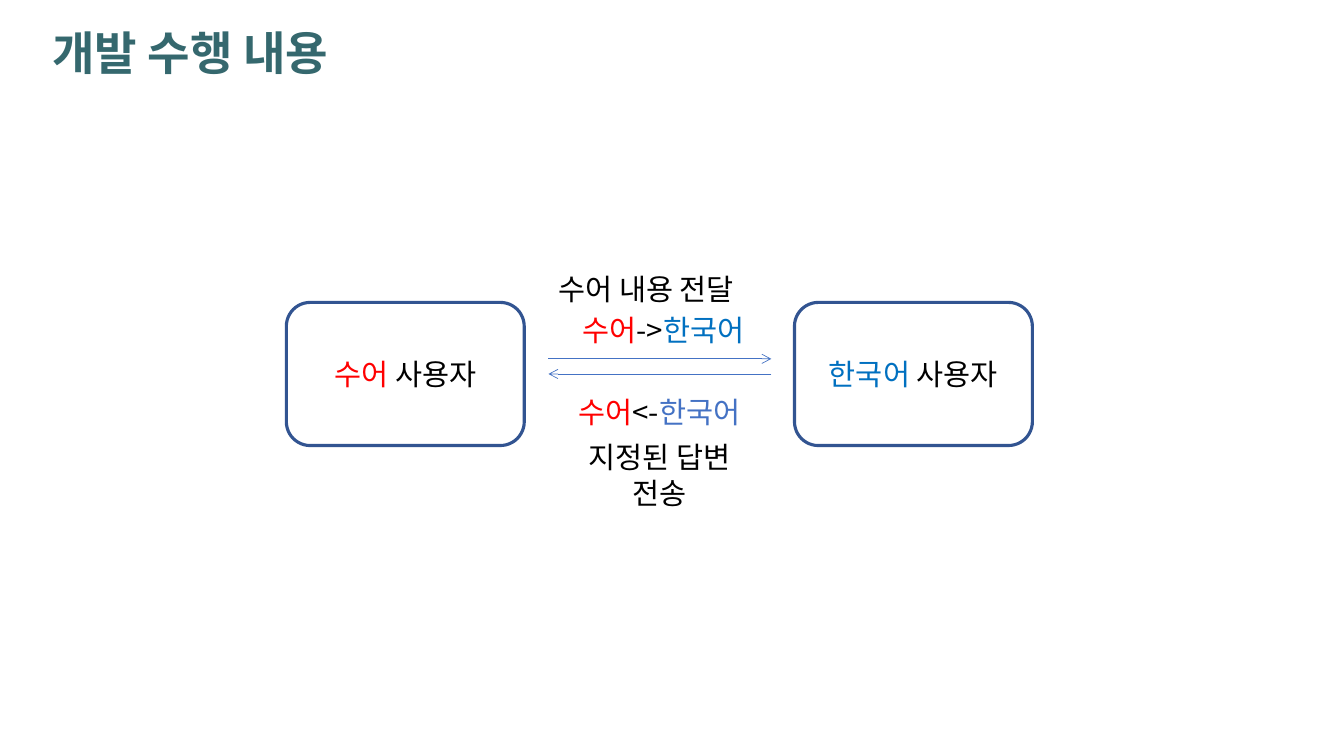
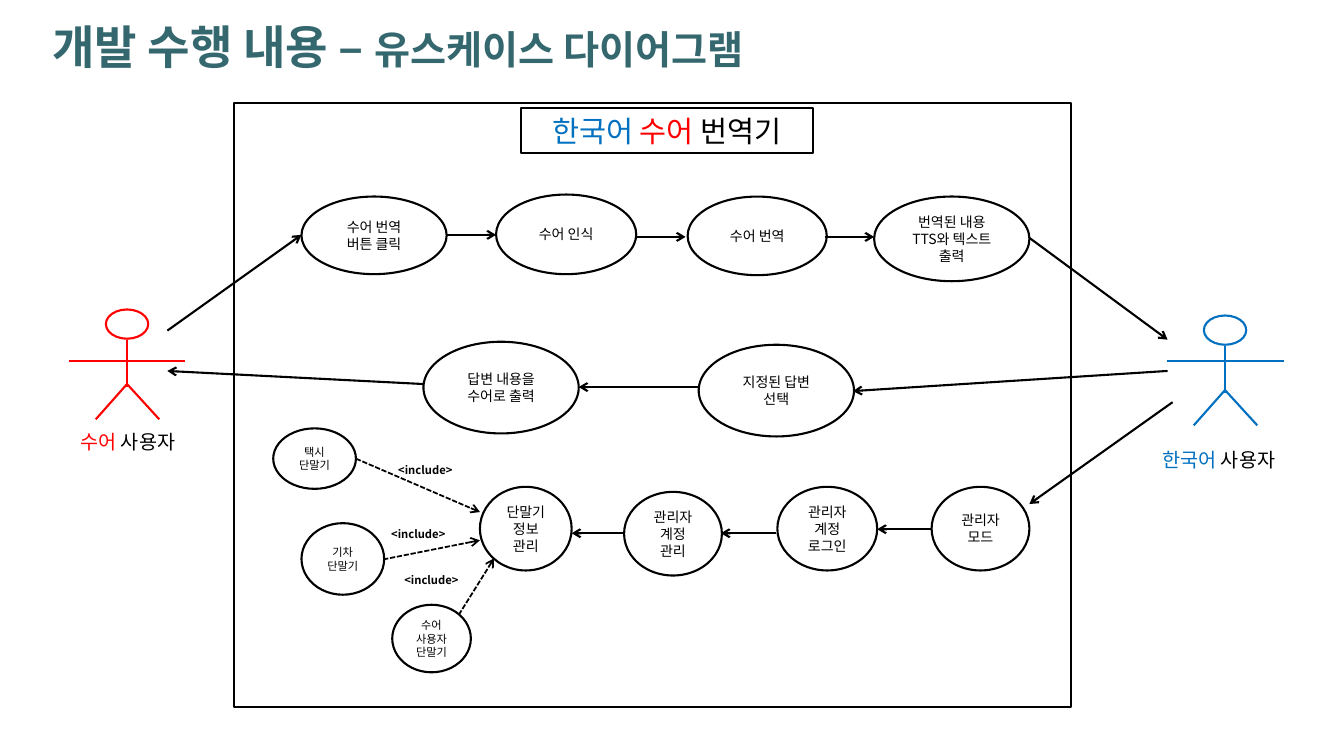
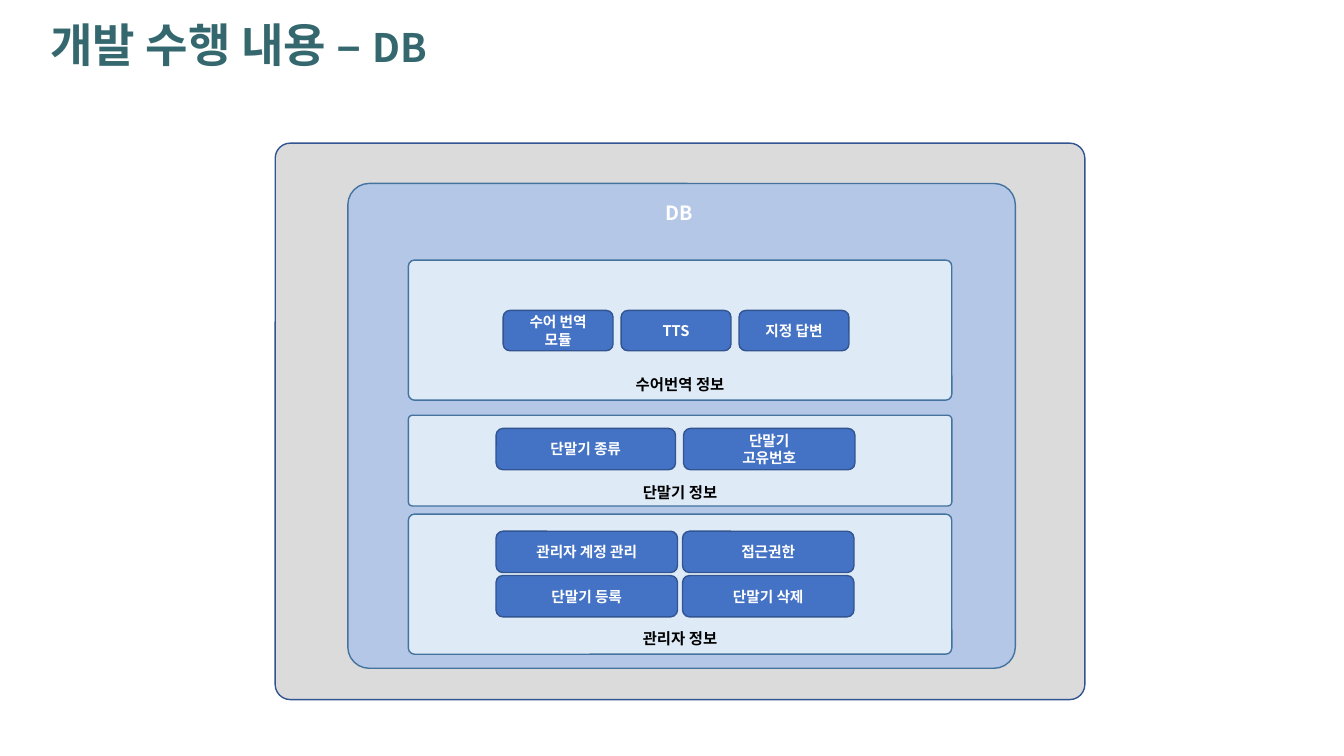
from typing import NamedTuple

from lxml import etree
from pptx import Presentation
from pptx.dml.color import RGBColor
from pptx.enum.dml import MSO_LINE
from pptx.enum.shapes import MSO_CONNECTOR, MSO_SHAPE
from pptx.enum.text import MSO_ANCHOR, MSO_AUTO_SIZE, PP_ALIGN
from pptx.oxml.ns import qn
from pptx.util import Emu, Pt

PX = 9144
FONT = "Noto Sans CJK KR"
TITLE_ONLY = 5

RECTANGLE = MSO_SHAPE.RECTANGLE
ROUNDED = MSO_SHAPE.ROUNDED_RECTANGLE
ELLIPSE = MSO_SHAPE.OVAL
STRAIGHT = MSO_CONNECTOR.STRAIGHT
DASHED = MSO_LINE.SQUARE_DOT
LEFT, CENTER = PP_ALIGN.LEFT, PP_ALIGN.CENTER
TOP, MIDDLE = MSO_ANCHOR.TOP, MSO_ANCHOR.MIDDLE
FIXED_SIZE = MSO_AUTO_SIZE.NONE

BLACK, WHITE = "000000", "FFFFFF"
RED, BLUE = "FF0000", "0070C0"
TEAL = "35686E"
ACCENT, ACCENT_DARK = "4472C4", "325491"
PANEL_LINE = "43739E"
GREY, DB_BLUE, PANEL_BLUE = "DBDBDB", "B4C7E7", "DEEBF7"

TITLE = "개발 수행 내용"


class Run(NamedTuple):
    """A stretch of text with one format."""

    text: str
    colour: str
    size: float
    bold: bool = False


def rgb(colour):
    """Turn a hex string into a colour."""
    return RGBColor.from_string(colour)


def box(*lengths):
    """Turn px lengths into EMU."""
    return [Emu(length * PX) for length in lengths]


def lines(text, colour, size, bold=False):
    """Make one single-run paragraph of each line of the text."""
    return [[Run(line, colour, size, bold)] for line in text.split("\n")]


def write(shape, paragraphs, align=CENTER, anchor=MIDDLE, margins=(10, 5), spacing=1.0):
    """Fill a shape with paragraphs of runs."""
    frame = shape.text_frame
    horizontal, vertical = box(*margins)
    frame_format = {
        "word_wrap": True, "auto_size": FIXED_SIZE, "vertical_anchor": anchor,
        "margin_left": horizontal, "margin_right": horizontal,
        "margin_top": vertical, "margin_bottom": vertical,
    }
    for name, value in frame_format.items():
        setattr(frame, name, value)
    for index, runs in enumerate(paragraphs):
        paragraph = frame.add_paragraph() if index else frame.paragraphs[0]
        paragraph.alignment = align
        paragraph.line_spacing = spacing
        for item in runs:
            run = paragraph.add_run()
            run.text = item.text
            font_format = {"name": FONT, "size": Pt(item.size), "bold": item.bold}
            for name, value in font_format.items():
                setattr(run.font, name, value)
            run.font.color.rgb = rgb(item.colour)
            east_asian = etree.SubElement(run.font._element, qn("a:ea"))
            east_asian.set("typeface", FONT)


def add_slide(presentation, left, top, subtitle=None):
    """Add a slide with the shared title and an optional smaller subtitle."""
    slide = presentation.slides.add_slide(presentation.slide_layouts[TITLE_ONLY])
    title = slide.shapes.title
    title.left, title.top, title.width, title.height = box(left, top, 1147, 62)
    runs = [Run(TITLE, TEAL, 33, True)]
    if subtitle:
        runs = [Run(TITLE + " – ", TEAL, 33, True), Run(subtitle, TEAL, 28, True)]
    write(title, [runs], LEFT, margins=(12, 6), spacing=0.9)
    return slide


def add_block(slide, kind, bounds, fill, line, width, corner=None):
    """Add a filled and outlined preset shape."""
    shape = slide.shapes.add_shape(kind, *box(*bounds))
    shape.shadow.inherit = False
    shape.fill.solid()
    shape.fill.fore_color.rgb = rgb(fill)
    shape.line.color.rgb = rgb(line)
    shape.line.width = Pt(width)
    if corner is not None:
        shape.adjustments[0] = corner
    return shape


def add_text(slide, bounds, paragraphs, **layout):
    """Add a text box."""
    write(slide.shapes.add_textbox(*box(*bounds)), paragraphs, **layout)


def add_line(slide, ends, colour=BLACK, width=1.5, dash=None, arrow=False):
    """Add a straight line, with an arrowhead at its end if wanted."""
    connector = slide.shapes.add_connector(STRAIGHT, *box(*ends))
    connector.line.color.rgb = rgb(colour)
    connector.line.width = Pt(width)
    if dash is not None:
        connector.line.dash_style = dash
    properties = connector._element.spPr
    if arrow:
        etree.SubElement(properties.find(qn("a:ln")), qn("a:tailEnd")).set("type", "arrow")
    etree.SubElement(properties, qn("a:effectLst"))


def add_use_case(slide, bounds, text, size=10):
    """Add a use case ellipse."""
    ellipse = add_block(slide, ELLIPSE, bounds, WHITE, BLACK, 1.5)
    write(ellipse, lines(text, BLACK, size))


def add_actor(slide, center, top, arm_y, colour):
    """Add a stick figure."""
    add_block(slide, ELLIPSE, (center - 21, top, 42, 29), WHITE, colour, 1.5)
    hip, foot = top + 74, top + 109
    for ends in (
        (center, top + 30, center, top + 77),
        (center, hip, center + 32, foot),
        (center, hip, center - 31, foot),
        (center - 58, arm_y, center + 58, arm_y),
    ):
        add_line(slide, ends, colour)


def add_panel(slide, top, height, caption, first, widths, module_height, gap, rows):
    """Add a database panel with rows of modules and a caption below them."""
    add_block(slide, ROUNDED, (405, top, 539, height), PANEL_BLUE, PANEL_LINE, 1, 0.044)
    caption_top = top + height - (28 if height < 100 else 30)
    add_text(slide, (499, caption_top, 351, 29), lines(caption, BLACK, 11, True), anchor=TOP)
    left, first_top = first
    for row, names in enumerate(rows):
        for column, name in enumerate(names):
            bounds = (left + sum(widths[:column]) + column * gap,
                      first_top + row * (module_height + 3),
                      widths[column], module_height)
            module = add_block(slide, ROUNDED, bounds, ACCENT, ACCENT_DARK, 1)
            write(module, lines(name, WHITE, 10.5, True))


def build_overview(presentation):
    """Show the exchange between the two users."""
    slide = add_slide(presentation, 40, 24)
    for left, language, colour in ((284, "수어", RED), (788, "한국어", BLUE)):
        user = add_block(slide, ROUNDED, (left, 300, 236, 142), WHITE, ACCENT_DARK, 2.25)
        write(user, [[Run(language, colour, 21), Run(" 사용자", BLACK, 21)]])
    for ends in ((544, 356, 765, 356), (765, 371, 544, 371)):
        add_line(slide, ends, ACCENT, 0.5, arrow=True)
    add_text(slide, (544, 264, 218, 45), lines("수어 내용 전달", BLACK, 21),
             align=LEFT, anchor=TOP)
    add_text(slide, (560, 431, 188, 81), lines("지정된 답변\n전송", BLACK, 21), anchor=TOP)
    for left, top, sign, colour in ((558, 305, "->", BLUE), (554, 386, "<-", ACCENT)):
        runs = [Run("수어", RED, 21), Run(sign, BLACK, 21), Run("한국어", colour, 21)]
        add_text(slide, (left, top, 200, 45), [runs], anchor=TOP)


def build_use_cases(presentation):
    """Show the use case diagram."""
    slide = add_slide(presentation, 40, 18, "유스케이스 다이어그램")
    add_block(slide, RECTANGLE, (232, 102, 830, 599), WHITE, BLACK, 1.5)
    system = add_block(slide, RECTANGLE, (517, 107, 289, 45), WHITE, BLACK, 1.5)
    write(system, [[Run("한국어 ", BLUE, 21), Run("수어", RED, 21),
                    Run(" 번역기", BLACK, 21)]], anchor=TOP)

    add_actor(slide, 126, 307, 358, RED)
    add_actor(slide, 1215, 313, 358, BLUE)
    for bounds, language, colour in (((70, 422, 126, 34), "수어", RED),
                                     ((1143, 439, 144, 34), "한국어", BLUE)):
        runs = [Run(language, colour, 14), Run(" 사용자", BLACK, 14)]
        add_text(slide, bounds, [runs], align=LEFT, anchor=TOP)

    for bounds, text in (
        ((299, 195, 144, 77), "수어 번역\n버튼 클릭"),
        ((492, 193, 139, 79), "수어 인식"),
        ((682, 195, 138, 78), "수어 번역"),
        ((867, 195, 154, 84), "번역된 내용\nTTS와 텍스트\n출력"),
        ((420, 339, 154, 91), "답변 내용을 수어로 출력"),
        ((693, 342, 154, 91), "지정된 답변 선택"),
        ((924, 483, 97, 83), "관리자 모드"),
        ((771, 483, 99, 83), "관리자 계정\n로그인"),
        ((619, 488, 97, 83), "관리자 계정\n관리"),
        ((476, 483, 91, 83), "단말기 정보 관리"),
    ):
        add_use_case(slide, bounds, text)
    for bounds, text in (
        ((271, 425, 82, 60), "택시\n단말기"),
        ((299, 519, 82, 71), "기차\n단말기"),
        ((389, 600, 78, 67), "수어\n사용자\n단말기"),
    ):
        add_use_case(slide, bounds, text, 8)

    for ends in (
        (166, 328, 299, 233), (442, 233, 492, 233), (630, 235, 680, 235),
        (818, 235, 867, 235), (1021, 236, 1158, 337),
        (1158, 368, 846, 388), (694, 384, 574, 384), (420, 381, 166, 368),
        (1163, 399, 1021, 500), (924, 525, 870, 525), (770, 529, 715, 529),
        (619, 529, 567, 529),
    ):
        add_line(slide, ends, arrow=True)
    for ends, label in (
        ((353, 455, 476, 508), (383, 455)),
        ((380, 555, 476, 536), (376, 519)),
        ((455, 610, 490, 554), (389, 564)),
    ):
        add_line(slide, ends, width=1.25, dash=DASHED, arrow=True)
        add_text(slide, (*label, 107, 24), lines("<include>", BLACK, 8, True),
                 align=LEFT, margins=(12, 6), spacing=0.9)


def build_database(presentation):
    """Show the database contents."""
    slide = add_slide(presentation, 38, 16, "DB")
    add_block(slide, ROUNDED, (273, 142, 803, 552), GREY, ACCENT_DARK, 1, 0.027)
    add_block(slide, ROUNDED, (345, 182, 662, 481), DB_BLUE, PANEL_LINE, 1, 0.044)
    add_text(slide, (532, 194, 283, 34), lines("DB", WHITE, 14, True), anchor=TOP)
    add_panel(slide, 258, 139, "수어번역 정보", (499, 308), (109, 109, 109), 40, 8,
              [("수어 번역\n모듈", "TTS", "지정 답변")])
    add_panel(slide, 412, 90, "단말기 정보", (492, 425), (178, 170), 41, 8,
              [("단말기 종류", "단말기\n고유번호")])
    add_panel(slide, 510, 139, "관리자 정보", (492, 527), (180, 170), 41, 5,
              [("관리자 계정 관리", "접근권한"), ("단말기 등록", "단말기 삭제")])


def main():
    """Build and save the presentation."""
    presentation = Presentation()
    presentation.slide_width, presentation.slide_height = box(1333, 750)
    build_overview(presentation)
    build_use_cases(presentation)
    build_database(presentation)
    presentation.save("out.pptx")


if __name__ == "__main__":
    main()
